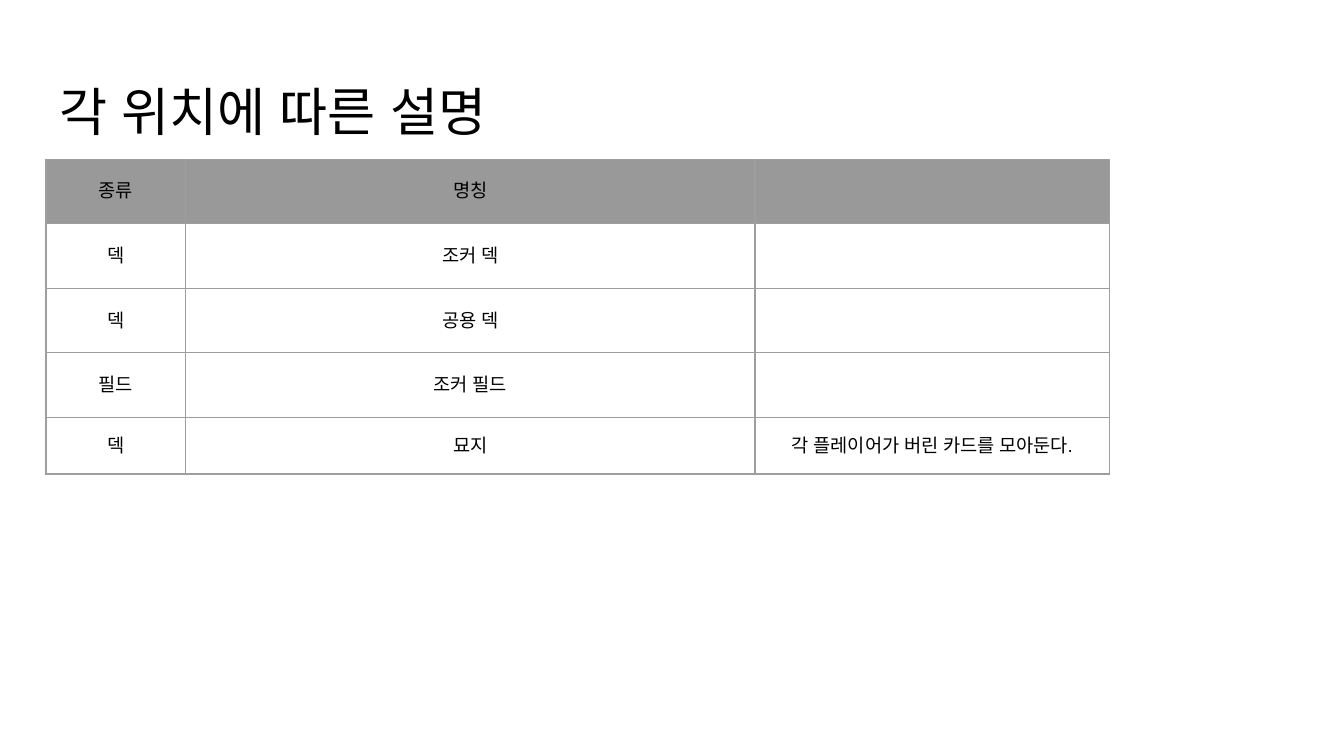
from dataclasses import dataclass

from lxml import etree
from pptx import Presentation
from pptx.dml.color import RGBColor
from pptx.enum import text
from pptx.oxml import ns
from pptx.util import Cm, Pt

# Content
TITLE = "각 위치에 따른 설명"
ROWS = [
    ("종류", "명칭", ""),
    ("덱", "조커 덱", ""),
    ("덱", "공용 덱", ""),
    ("필드", "조커 필드", ""),
    ("덱", "묘지", "각 플레이어가 버린 카드를 모아둔다."),
]
COLUMN_WIDTHS = (2.63, 10.77, 6.7)
ROW_HEIGHTS = (1.22, 1.22, 1.22, 1.22, 1.07)
LEFT, TABLE_TOP = 0.87, 3.01


@dataclass(frozen=True)
class Theme:
    font: str = "Arial"
    title_size: float = 28
    cell_size: float = 10
    ink: str = "000000"
    header: str = "999999"
    border: str = "9E9E9E"
    border_width: float = 0.75
    inset: float = 0.25


THEME = Theme()


def write(frame, content, size, align, anchor):
    """Put one formatted paragraph into a text frame."""
    frame.word_wrap = True
    frame.vertical_anchor = anchor
    paragraph = frame.paragraphs[0]
    paragraph.alignment = align
    run = paragraph.add_run()
    run.text = content
    run.font.name = THEME.font
    run.font.size = Pt(size)
    run.font.color.rgb = RGBColor.from_string(THEME.ink)
    east_asian = etree.SubElement(run.font._element, ns.qn("a:ea"))
    east_asian.set("typeface", THEME.font)


def set_insets(target):
    for side in ("left", "right", "top", "bottom"):
        setattr(target, f"margin_{side}", Cm(THEME.inset))


def draw_borders(cell):
    properties = cell._tc.get_or_add_tcPr()
    for index, side in enumerate(("lnL", "lnR", "lnT", "lnB")):
        line = etree.Element(ns.qn(f"a:{side}"), w=str(Pt(THEME.border_width)))
        fill = etree.SubElement(line, ns.qn("a:solidFill"))
        etree.SubElement(fill, ns.qn("a:srgbClr"), val=THEME.border)
        properties.insert(index, line)


def add_title(slide):
    title = slide.shapes.title
    title.left, title.top = Cm(LEFT), Cm(1.24)
    title.width, title.height = Cm(23.67), Cm(1.6)
    frame = title.text_frame
    frame.auto_size = text.MSO_AUTO_SIZE.NONE
    set_insets(frame)
    write(frame, TITLE, size=THEME.title_size, align=text.PP_ALIGN.LEFT,
          anchor=text.MSO_ANCHOR.TOP)


def add_position_table(slide):
    table = slide.shapes.add_table(
        len(ROWS), len(COLUMN_WIDTHS), Cm(LEFT), Cm(TABLE_TOP),
        Cm(sum(COLUMN_WIDTHS)), Cm(sum(ROW_HEIGHTS))).table
    table.horz_banding = False
    for column, width in zip(table.columns, COLUMN_WIDTHS):
        column.width = Cm(width)
    for row_index, (row, height) in enumerate(zip(table.rows, ROW_HEIGHTS)):
        row.height = Cm(height)
        for cell, content in zip(row.cells, ROWS[row_index]):
            set_insets(cell)
            cell.vertical_anchor = text.MSO_ANCHOR.MIDDLE
            if row_index == 0:
                cell.fill.solid()
                cell.fill.fore_color.rgb = RGBColor.from_string(THEME.header)
            else:
                cell.fill.background()
            draw_borders(cell)
            if content:
                write(cell.text_frame, content, size=THEME.cell_size,
                      align=text.PP_ALIGN.CENTER, anchor=None)
            else:
                # Keep an empty cell from stretching its row
                etree.SubElement(cell.text_frame.paragraphs[0]._p,
                                 ns.qn("a:endParaRPr"),
                                 sz=str(int(THEME.cell_size * 100)))


def main():
    presentation = Presentation()
    presentation.slide_width, presentation.slide_height = Cm(25.4), Cm(14.29)
    slide = presentation.slides.add_slide(presentation.slide_layouts[5])
    add_title(slide)
    add_position_table(slide)
    presentation.save("out.pptx")


if __name__ == "__main__":
    main()
